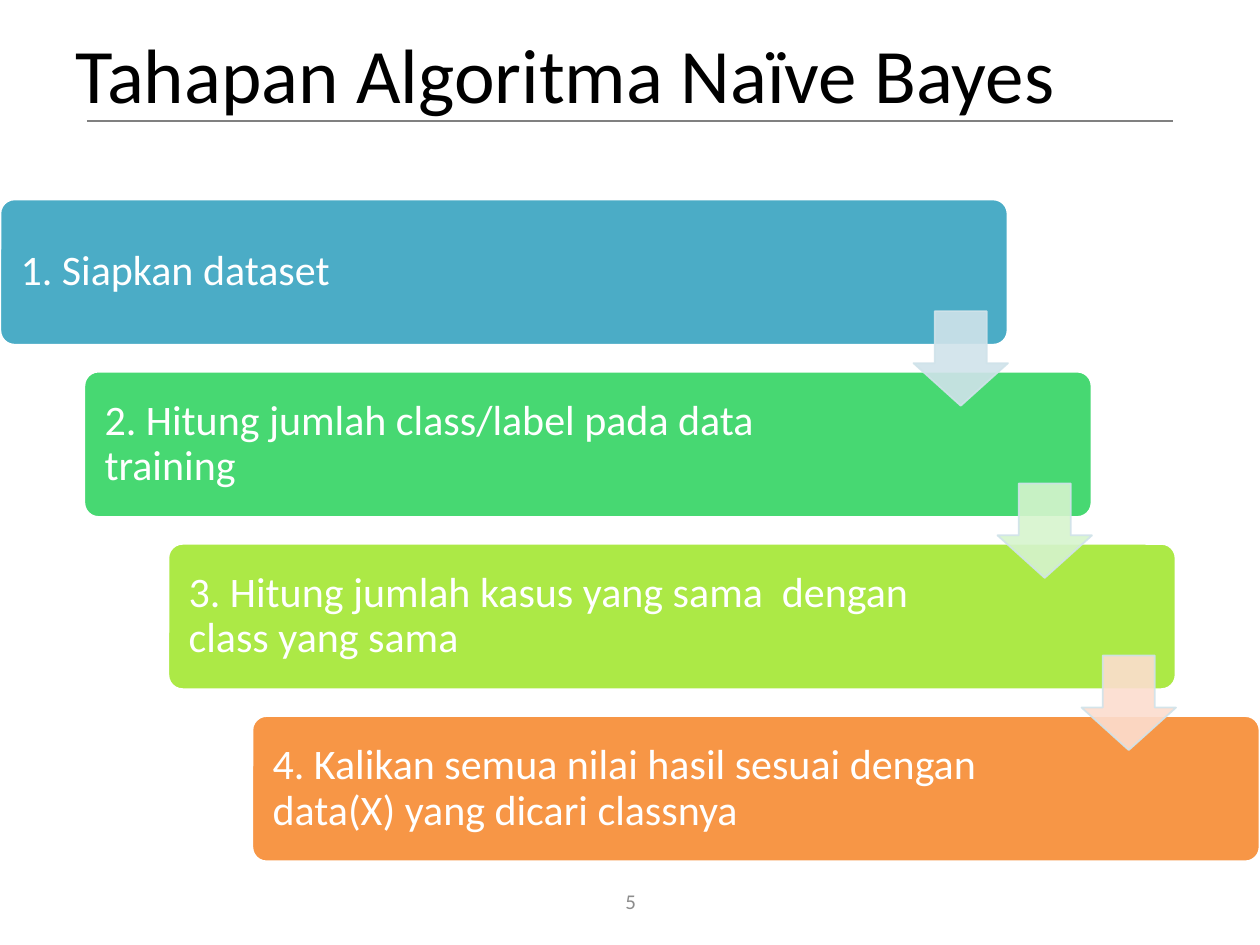
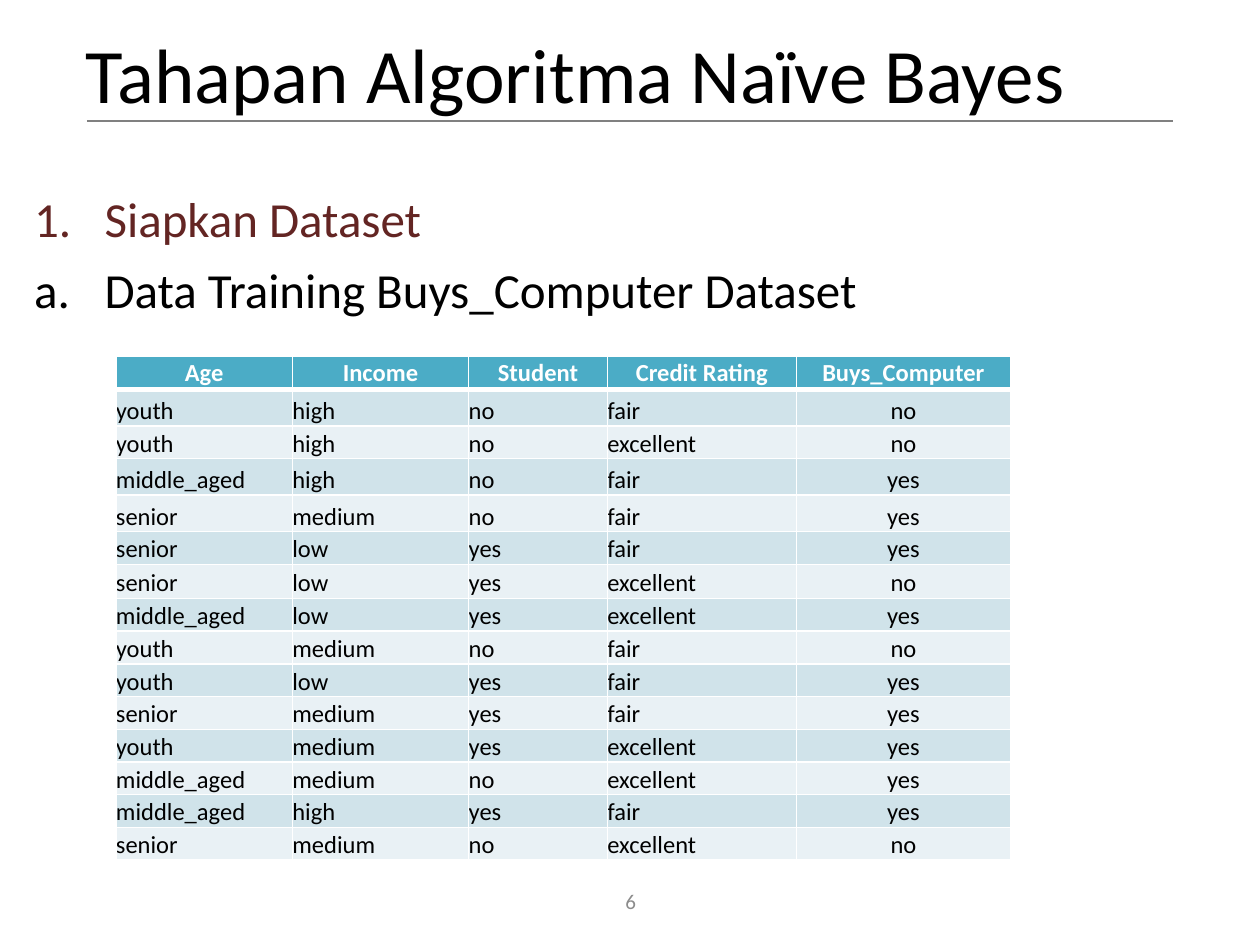
from lxml import etree
from pptx import Presentation
from pptx.dml.color import RGBColor
from pptx.enum.shapes import MSO_CONNECTOR, MSO_SHAPE
from pptx.enum.text import MSO_ANCHOR, MSO_AUTO_SIZE, PP_ALIGN
from pptx.oxml.ns import qn
from pptx.util import Inches, Pt

FONT = "Calibri"
BLACK = RGBColor(0x00, 0x00, 0x00)
WHITE = RGBColor(0xFF, 0xFF, 0xFF)
RULE_GRAY = RGBColor(0x80, 0x80, 0x80)
NUMBER_GRAY = RGBColor(0x8C, 0x8C, 0x8C)
MAROON = RGBColor(0x63, 0x25, 0x23)
TEAL = RGBColor(0x4B, 0xAC, 0xC6)
GREEN = RGBColor(0x47, 0xD8, 0x72)
LIME = RGBColor(0xAC, 0xE9, 0x46)
ORANGE = RGBColor(0xF7, 0x96, 0x46)
PALE_TEAL = RGBColor(0xD0, 0xE3, 0xEA)
PALE_GREEN = RGBColor(0xD6, 0xF4, 0xCE)
PALE_ORANGE = RGBColor(0xFC, 0xDD, 0xCF)
FAINT_TEAL = RGBColor(0xE9, 0xF1, 0xF5)

TITLE = "Tahapan Algoritma Naïve Bayes"
TITLE_LAYOUT, BODY_LAYOUT = 5, 1

STEPS = [
    ("1. Siapkan dataset", TEAL),
    ("2. Hitung jumlah class/label pada data training", GREEN),
    ("3. Hitung jumlah kasus yang sama  dengan class yang sama", LIME),
    ("4. Kalikan semua nilai hasil sesuai dengan data(X) yang dicari classnya", ORANGE),
]
ARROW_FILLS = [PALE_TEAL, PALE_GREEN, PALE_ORANGE]
STEP_TOP, STEP_DX, STEP_DY = 1.58, 2 / 3, 4.1 / 3

LIST_ITEMS = [
    ("Siapkan Dataset", "arabicPeriod", MAROON),
    ("Data Training Buys_Computer Dataset", "alphaLcPeriod", BLACK),
]

COLUMN_WIDTHS = [1.4, 1.4, 1.1, 1.5, 1.7]
ROW_HEIGHT = 0.26
TALLER_ROWS = {1: 0.29, 3: 0.29, 4: 0.29, 6: 0.27}
RECORDS = [
    ("Age", "Income", "Student", "Credit Rating", "Buys_Computer"),
    ("youth", "high", "no", "fair", "no"),
    ("youth", "high", "no", "excellent", "no"),
    ("middle_aged", "high", "no", "fair", "yes"),
    ("senior", "medium", "no", "fair", "yes"),
    ("senior", "low", "yes", "fair", "yes"),
    ("senior", "low", "yes", "excellent", "no"),
    ("middle_aged", "low", "yes", "excellent", "yes"),
    ("youth", "medium", "no", "fair", "no"),
    ("youth", "low", "yes", "fair", "yes"),
    ("senior", "medium", "yes", "fair", "yes"),
    ("youth", "medium", "yes", "excellent", "yes"),
    ("middle_aged", "medium", "no", "excellent", "yes"),
    ("middle_aged", "high", "yes", "fair", "yes"),
    ("senior", "medium", "no", "excellent", "no"),
]


def place(shape, left, top, width, height):
    """Move and size a shape, in inches."""
    shape.left, shape.top = Inches(left), Inches(top)
    shape.width, shape.height = Inches(width), Inches(height)


def format_para(para, size, color, align=PP_ALIGN.LEFT, bold=False, spacing=None):
    """Format a paragraph and all of its runs."""
    para.alignment = align
    para.line_spacing = spacing
    for span in para.runs:
        span.font.name = FONT
        span.font.size = Pt(size)
        span.font.bold = bold
        span.font.color.rgb = color


def add_page(deck, layout, number, title_left):
    """Add a slide with the shared title, rule and page number."""
    page = deck.slides.add_slide(deck.slide_layouts[layout])

    footer = page.shapes.add_textbox(Inches(3.88), Inches(6.95), Inches(2.25), Inches(0.4))
    footer.text_frame.text = str(number)
    footer.text_frame.word_wrap = True
    footer.text_frame.vertical_anchor = MSO_ANCHOR.MIDDLE
    format_para(footer.text_frame.paragraphs[0], 12, NUMBER_GRAY, PP_ALIGN.CENTER)

    rule = page.shapes.add_connector(
        MSO_CONNECTOR.STRAIGHT, Inches(0.69), Inches(0.96), Inches(9.31), Inches(0.96))
    rule.line.color.rgb = RULE_GRAY
    rule.line.width = Pt(1)
    etree.SubElement(rule._element.spPr, qn("a:effectLst"))

    title = page.shapes.title
    place(title, title_left, 0, 9, 1.25)
    title.text_frame.text = TITLE
    title.text_frame.auto_size = MSO_AUTO_SIZE.NONE
    title.text_frame.vertical_anchor = MSO_ANCHOR.MIDDLE
    format_para(title.text_frame.paragraphs[0], 44, BLACK, spacing=0.9)
    return page


def add_block(page, preset, box, adjustments, fill, line, line_width):
    """Add a filled preset shape without a shadow."""
    block = page.shapes.add_shape(preset, *(Inches(length) for length in box))
    for index, value in enumerate(adjustments):
        block.adjustments[index] = value
    block.shadow.inherit = False
    block.fill.solid()
    block.fill.fore_color.rgb = fill
    block.line.color.rgb = line
    block.line.width = Pt(line_width)
    return block


def add_step(page, index, text, fill):
    """Add one step of the staircase."""
    box = (index * STEP_DX, STEP_TOP + index * STEP_DY, 8, 1.16)
    step = add_block(page, MSO_SHAPE.ROUNDED_RECTANGLE, box, [0.1], fill, WHITE, 1.5)
    frame = step.text_frame
    frame.text = text
    frame.word_wrap = True
    frame.vertical_anchor = MSO_ANCHOR.MIDDLE
    frame.margin_left, frame.margin_right = Inches(0.13), Inches(1.55)
    format_para(frame.paragraphs[0], 24, WHITE, spacing=0.9)


def add_step_arrow(page, index, fill):
    """Add the translucent arrow from one step to the next."""
    box = (7.25 + index * STEP_DX, STEP_TOP + 0.89 + index * STEP_DY, 0.75, 0.75)
    arrow = add_block(page, MSO_SHAPE.DOWN_ARROW, box, [0.55, 0.45], fill, PALE_TEAL, 1)
    for color in arrow._element.spPr.iter(qn("a:srgbClr")):
        etree.SubElement(color, qn("a:alpha"), val="90000")


def fill_list(body):
    """Write the numbered items into the body placeholder."""
    place(body, 0.17, 1.5, 9, 4.95)
    frame = body.text_frame
    frame.text = "\n".join(text for text, _, _ in LIST_ITEMS)
    frame.auto_size = MSO_AUTO_SIZE.NONE
    for para, (_, numbering, color) in zip(frame.paragraphs, LIST_ITEMS):
        format_para(para, 28, color, spacing=0.9)
        para.space_before = Pt(10)
        properties = para._p.get_or_add_pPr()
        properties.set("marL", str(Inches(0.56)))
        properties.set("indent", str(-Inches(0.56)))
        etree.SubElement(properties, qn("a:buFont"), typeface="+mj-lt")
        etree.SubElement(properties, qn("a:buAutoNum"), type=numbering)


def set_borders(cell, top, bottom):
    """Give a cell white borders, with widths in points."""
    properties = cell._tc.get_or_add_tcPr()
    for side, width in (("L", 1), ("R", 1), ("T", top), ("B", bottom)):
        line = etree.SubElement(properties, qn(f"a:ln{side}"), w=str(Pt(width)))
        solid = etree.SubElement(line, qn("a:solidFill"))
        etree.SubElement(solid, qn("a:srgbClr"), val=str(WHITE))


def format_cell(cell, row, column):
    """Format a cell by its place in the table."""
    header = row == 0
    set_borders(cell, top=3 if row == 1 else 1, bottom=3 if header else 1)
    cell.fill.solid()
    cell.fill.fore_color.rgb = TEAL if header else PALE_TEAL if row % 2 else FAINT_TEAL
    cell.margin_left = cell.margin_right = cell.margin_top = cell.margin_bottom = 0
    cell.vertical_anchor = MSO_ANCHOR.MIDDLE if header else MSO_ANCHOR.BOTTOM
    centred = header or column == len(COLUMN_WIDTHS) - 1
    format_para(cell.text_frame.paragraphs[0], 14, WHITE if header else BLACK,
                PP_ALIGN.CENTER if centred else PP_ALIGN.LEFT, bold=header)


def add_training_table(page):
    """Add the table of training records."""
    heights = [TALLER_ROWS.get(row, ROW_HEIGHT) for row in range(len(RECORDS))]
    table = page.shapes.add_table(
        len(RECORDS), len(COLUMN_WIDTHS), Inches(0.92), Inches(2.83),
        Inches(sum(COLUMN_WIDTHS)), Inches(sum(heights))).table
    for column, width in zip(table.columns, COLUMN_WIDTHS):
        column.width = Inches(width)
    for row, record in enumerate(RECORDS):
        table.rows[row].height = Inches(heights[row])
        for column, text in enumerate(record):
            cell = table.cell(row, column)
            cell.text = text
            format_cell(cell, row, column)


def main():
    """Build and save the deck."""
    deck = Presentation()
    deck.slide_width, deck.slide_height = Inches(10), Inches(7.5)

    steps_page = add_page(deck, TITLE_LAYOUT, 5, title_left=0.5)
    for index, (text, fill) in enumerate(STEPS):
        add_step(steps_page, index, text, fill)
    for index, fill in enumerate(ARROW_FILLS):
        add_step_arrow(steps_page, index, fill)

    dataset_page = add_page(deck, BODY_LAYOUT, 6, title_left=0.58)
    fill_list(dataset_page.placeholders[1])
    add_training_table(dataset_page)

    deck.save("out.pptx")


main()
